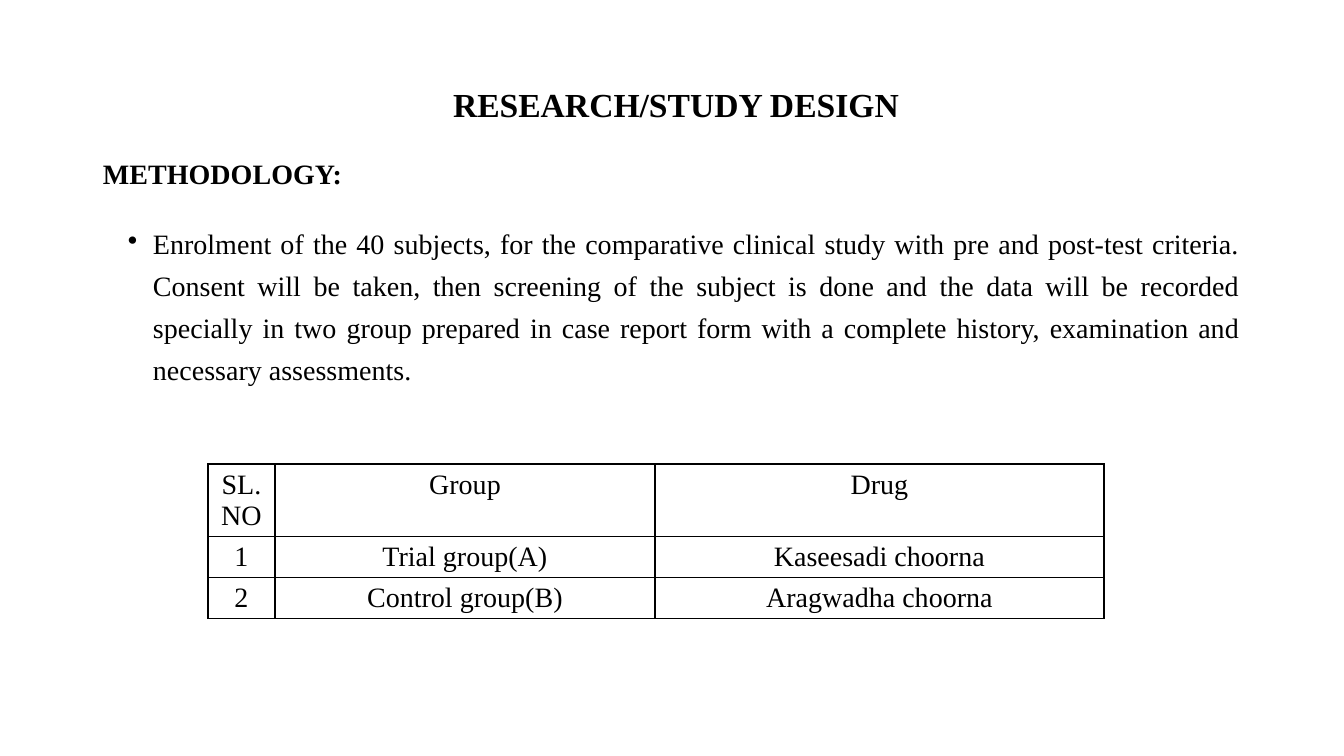
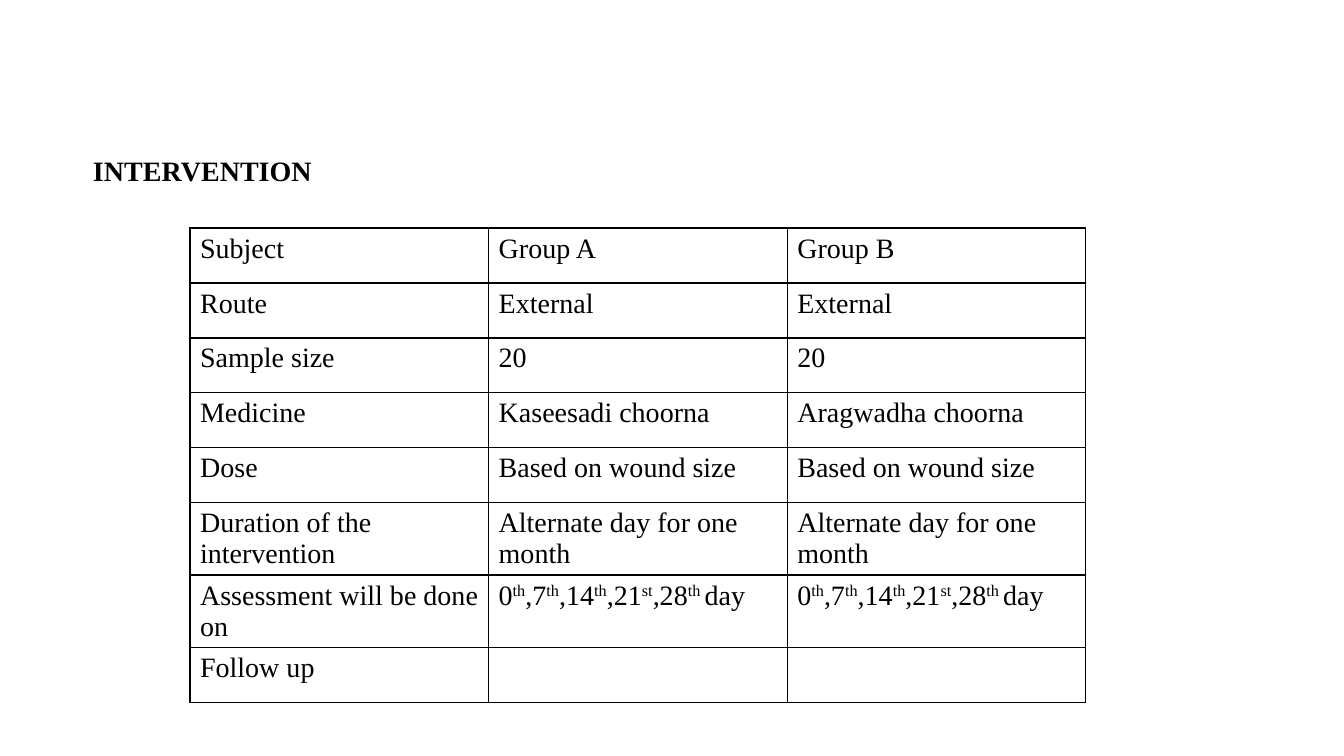
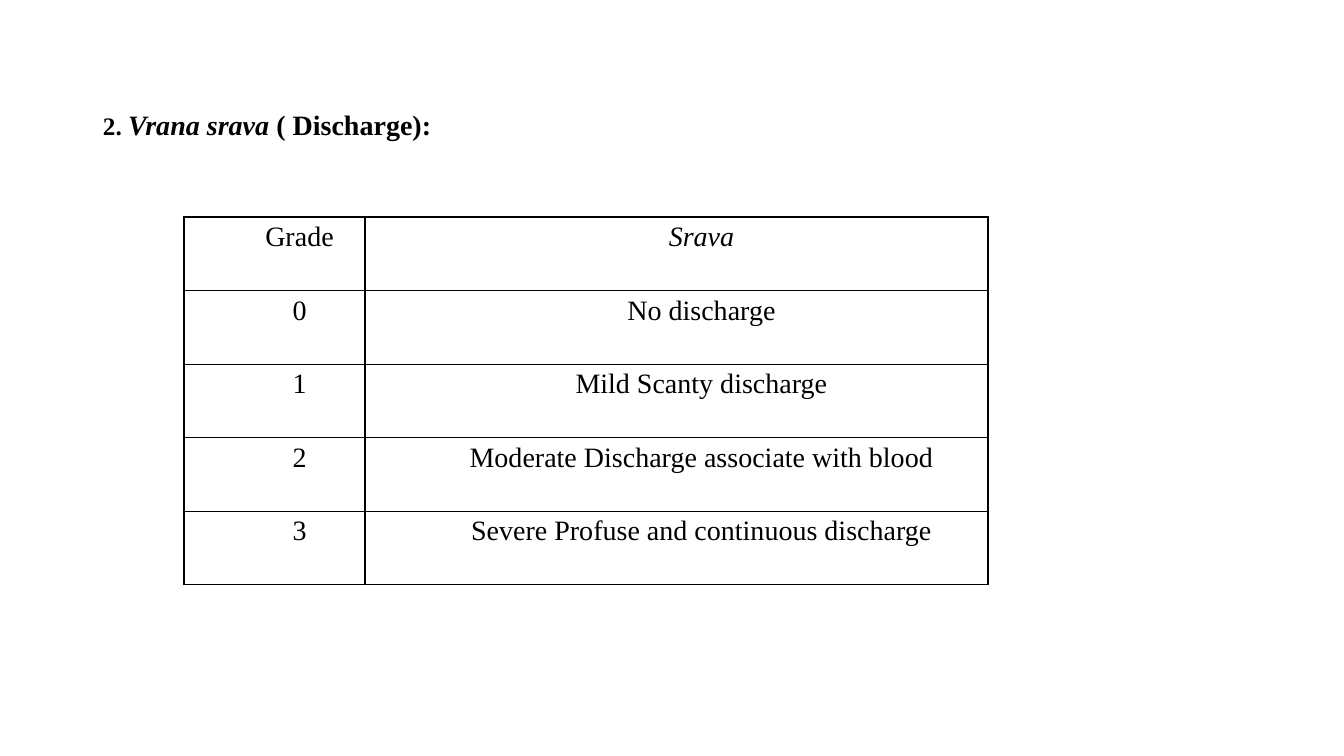
import dataclasses

import pptx
import pptx.dml.color
import pptx.enum.text
import pptx.oxml
import pptx.oxml.ns
import pptx.util


@dataclasses.dataclass(frozen=True)
class Theme:
    font: str = "Times New Roman"
    ink: str = "000000"
    title: int = 24
    body: int = 20
    number: int = 18
    border: int = 1


theme = Theme()
EMU_PER_PX = 12192000 / 1344
Pt = pptx.util.Pt
ALIGN = pptx.enum.text.PP_ALIGN


def px(length):
    return pptx.util.Emu(round(length * EMU_PER_PX))


def style(paragraph, size=theme.body, bold=False, align=ALIGN.LEFT):
    paragraph.alignment = align
    paragraph.line_spacing = 1.0
    paragraph.font.name = theme.font
    paragraph.font.size = Pt(size)
    paragraph.font.bold = bold
    paragraph.font.color.rgb = pptx.dml.color.RGBColor.from_string(theme.ink)


deck = pptx.Presentation()
deck.slide_width, deck.slide_height = px(1344), px(756)

assessment_days = "0^th^,7^th^,14^th^,21^st^,28^th ^day"
pages = [
    {
        "title": ["RESEARCH/STUDY DESIGN"],
        "title_at": (103, 84, 1146, 38), "title_size": theme.title, "title_align": ALIGN.CENTER,
        "table_at": (208, 464), "columns": [67, 380, 449], "rows": [72, 41, 41],
        "align": ALIGN.CENTER,
        "cells": [
            ["SL.NO", "Group", "Drug"],
            ["1", "Trial group(A)", "Kaseesadi choorna"],
            ["2", "Control group(B)", "Aragwadha choorna"],
        ],
    },
    {
        "title": ["INTERVENTION"],
        "title_at": (93, 153, 1146, 32), "title_size": theme.body, "title_align": ALIGN.LEFT,
        "table_at": (190, 228), "columns": [896 / 3] * 3, "rows": [55] * 5 + [72, 72, 55],
        "align": ALIGN.LEFT,
        "cells": [
            ["Subject", "Group A", "Group B"],
            ["Route", "External", "External"],
            ["Sample size", "20", "20"],
            ["Medicine", "Kaseesadi choorna", "Aragwadha choorna"],
            ["Dose", "Based on wound size", "Based on wound size"],
            ["Duration of the intervention"] + ["Alternate day for one month"] * 2,
            ["Assessment will be done on"] + [assessment_days] * 2,
            ["Follow up", "", ""],
        ],
    },
    {
        "title": ["2. ", "Vrana srava ", "( Discharge):"],
        "title_at": (103, 107, 1146, 32), "title_size": theme.body, "title_align": ALIGN.LEFT,
        "table_at": (184, 217), "columns": [181, 623], "rows": [368 / 5] * 5,
        "align": ALIGN.CENTER,
        "cells": [
            ["Grade", "Srava"],
            ["0", "No discharge"],
            ["1", "Mild Scanty discharge"],
            ["2", "Moderate Discharge associate with blood"],
            ["3", "Severe Profuse and continuous discharge"],
        ],
    },
]

slides, titles, tables = [], [], []
for page in pages:
    slide = deck.slides.add_slide(deck.slide_layouts[5])
    title = slide.shapes.title
    title.left, title.top, title.width, title.height = map(px, page["title_at"])
    frame = title.text_frame
    frame.margin_left = frame.margin_right = frame.margin_top = frame.margin_bottom = 0
    frame.vertical_anchor = pptx.enum.text.MSO_ANCHOR.TOP
    frame.auto_size = pptx.enum.text.MSO_AUTO_SIZE.NONE
    frame.word_wrap = True
    heading = frame.paragraphs[0]
    for text in page["title"]:
        heading.add_run().text = text
    style(heading, page["title_size"], True, page["title_align"])
    heading.space_before = Pt(0)

    table = slide.shapes.add_table(
        len(page["rows"]), len(page["columns"]), *map(px, page["table_at"]),
        px(sum(page["columns"])), px(sum(page["rows"]))).table
    table.first_row = table.horz_banding = False
    for column, width in zip(table.columns, page["columns"]):
        column.width = px(width)
    for row, height, texts in zip(table.rows, page["rows"], page["cells"]):
        row.height = px(height)
        for cell, text in zip(row.cells, texts):
            entry = cell.text_frame.paragraphs[0]
            style(entry, align=page["align"])
            for index, part in enumerate(text.split("^")):
                if part:
                    run = entry.add_run()
                    run.text = part
                    if index % 2:
                        run._r.get_or_add_rPr().set("baseline", "30000")
            for side in ("lnL", "lnR", "lnT", "lnB"):
                cell._tc.get_or_add_tcPr().append(pptx.oxml.parse_xml(
                    f'<a:{side} {pptx.oxml.ns.nsdecls("a")} w="{Pt(theme.border)}">'
                    f'<a:solidFill><a:srgbClr val="{theme.ink}"/></a:solidFill></a:{side}>'))
            cell.fill.background()
    slides.append(slide)
    titles.append(heading)
    tables.append(table)

methodology = slides[0].shapes.add_textbox(px(103), px(157), px(1137), px(220)).text_frame
methodology.margin_left = methodology.margin_right = 0
methodology.margin_top = methodology.margin_bottom = 0
methodology.word_wrap = True
label = methodology.paragraphs[0]
label.text = "METHODOLOGY:"
style(label, bold=True)
label.space_after = Pt(10)
enrolment = methodology.add_paragraph()
enrolment.text = (
    "Enrolment of the 40 subjects, for the comparative clinical study with pre and post-test "
    "criteria. Consent will be taken, then screening of the subject is done and the data will be "
    "recorded specially in two group prepared in case report form with a complete history, "
    "examination and necessary assessments.")
style(enrolment, align=ALIGN.JUSTIFY)
enrolment.line_spacing = 1.25
enrolment.space_before = Pt(10)
bullet_indent = enrolment._p.get_or_add_pPr()
bullet_indent.set("marL", str(px(50)))
bullet_indent.set("indent", str(px(-25)))
bullet = pptx.oxml.parse_xml(f'<a:buChar {pptx.oxml.ns.nsdecls("a")} char="•"/>')
bullet_indent.find(pptx.oxml.ns.qn("a:defRPr")).addprevious(bullet)

number, condition, _ = titles[2].runs
number.font.size = Pt(theme.number)
condition.font.italic = True
for cell in tables[2].iter_cells():
    cell.margin_left = cell.margin_right = px(7)
    cell.margin_top = cell.margin_bottom = 0
    grade = cell.text_frame.paragraphs[0]
    grade.line_spacing = 1.15
    grade._p.get_or_add_pPr().set("marL", str(px(50)))
tables[2].cell(0, 1).text_frame.paragraphs[0].font.italic = True

deck.save("out.pptx")
